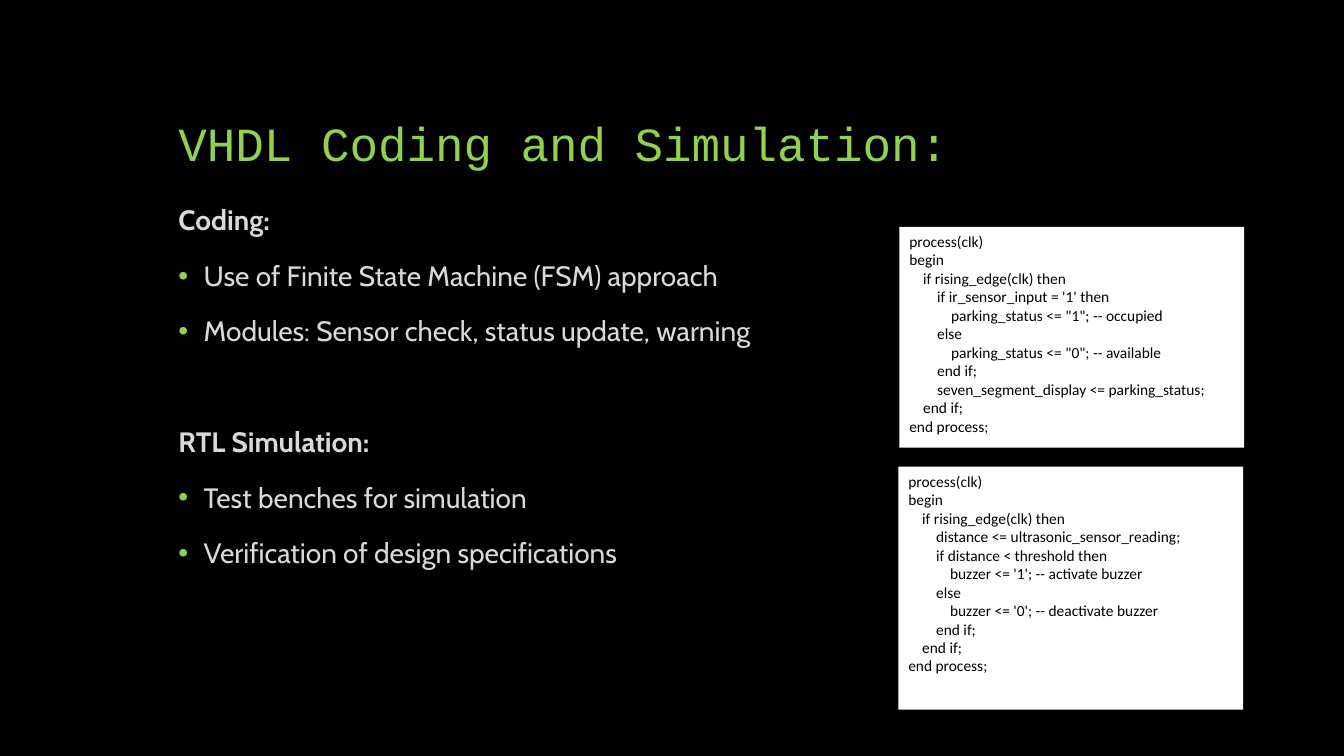
from lxml import etree
from pptx import Presentation
from pptx.dml.color import RGBColor
from pptx.enum.shapes import MSO_SHAPE
from pptx.enum.text import MSO_ANCHOR, MSO_AUTO_SIZE, PP_ALIGN
from pptx.oxml.ns import qn
from pptx.util import Inches, Pt

RECT = MSO_SHAPE.RECTANGLE
TOP, BOTTOM = MSO_ANCHOR.TOP, MSO_ANCHOR.BOTTOM
LEFT = PP_ALIGN.LEFT
NO_FIT = MSO_AUTO_SIZE.NONE

GREEN, GREY, BLACK, WHITE = "92D050", "D9D9D9", "000000", "FFFFFF"

SECTIONS = [
    ("Coding:", [
        "Use of Finite State Machine (FSM) approach",
        "Modules: Sensor check, status update, warning",
    ]),
    ("RTL Simulation:", [
        "Test benches for simulation",
        "Verification of design specifications",
    ]),
]

PARKING_CODE = """process(clk)
begin
    if rising_edge(clk) then
        if ir_sensor_input = '1' then
            parking_status <= "1"; -- occupied
        else
            parking_status <= "0"; -- available
        end if;
        seven_segment_display <= parking_status;
    end if;
end process;"""

BUZZER_CODE = """process(clk)
begin
    if rising_edge(clk) then
        distance <= ultrasonic_sensor_reading;
        if distance < threshold then
            buzzer <= '1'; -- activate buzzer
        else
            buzzer <= '0'; -- deactivate buzzer
        end if;
    end if;
end process;"""


def rgb(value):
    """Return the colour for a hex string."""
    return RGBColor.from_string(value)


class Deck:
    """Hold the style and the current slide."""

    def __init__(self):
        """Open a wide deck with one black slide."""
        self.prs = Presentation()
        self.prs.slide_width, self.prs.slide_height = Inches(13.33), Inches(7.5)
        self.s = self.prs.slides.add_slide(self.prs.slide_layouts[1])
        fill = self.s.background.fill
        fill.solid()
        fill.fore_color.rgb = rgb(BLACK)

    def place(self, sp, box, anchor=TOP):
        """Move a shape and return its prepared text frame."""
        sp.left, sp.top, sp.width, sp.height = map(Inches, box)
        tf = sp.text_frame
        tf.word_wrap = True
        tf.auto_size = NO_FIT
        tf.vertical_anchor = anchor
        return tf

    def paragraph(self, tf, i):
        """Return the first paragraph or a new one, set left."""
        p = tf.add_paragraph() if i else tf.paragraphs[0]
        p.alignment = LEFT
        return p

    def run(self, p, text, font, size, color, bold=False):
        """Add one formatted run."""
        r = p.add_run()
        r.text = text
        r.font.name, r.font.size, r.font.bold = font, Pt(size), bold
        r.font.color.rgb = rgb(color)

    def bullet(self, p, shown):
        """Set a green bullet with a hanging indent, or none."""
        pPr = p._p.get_or_add_pPr()
        indent = Inches(0.25) if shown else 0
        pPr.set("marL", str(indent))
        pPr.set("indent", str(-indent))
        if shown:
            clr = etree.SubElement(pPr, qn("a:buClr"))
            etree.SubElement(clr, qn("a:srgbClr")).set("val", GREEN)
            etree.SubElement(pPr, qn("a:buChar")).set("char", "•")
        else:
            etree.SubElement(pPr, qn("a:buNone"))

    def title(self, text, box):
        """Fill the title placeholder."""
        tf = self.place(self.s.shapes.title, box, BOTTOM)
        p = self.paragraph(tf, 0)
        p.line_spacing = 0.9
        self.run(p, text, "Courier New", 34, GREEN)

    def body(self, sections, box):
        """Fill the body placeholder with headed lists."""
        tf = self.place(self.s.placeholders[1], box)
        lines = [(text, n > 0) for head, items in sections
                 for n, text in enumerate([head, *items])]
        for i, (text, listed) in enumerate(lines):
            p = self.paragraph(tf, i)
            self.bullet(p, listed)
            p.line_spacing = 0.9
            p.space_before = Pt(0 if i == 0 else 18 if listed else 57.6)
            self.run(p, text, "Cabin", 20, GREY, not listed)

    def code(self, text, box):
        """Draw a white panel of code."""
        sp = self.s.shapes.add_shape(RECT, *map(Inches, box))
        sp.shadow.inherit = False
        sp.fill.solid()
        sp.fill.fore_color.rgb = rgb(WHITE)
        sp.line.fill.background()
        tf = self.place(sp, box)
        for i, line in enumerate(text.splitlines()):
            self.run(self.paragraph(tf, i), line, "Calibri", 11, BLACK)


def main():
    """Build and save the slide."""
    deck = Deck()
    deck.title("VHDL Coding and Simulation:", (1.67, 0.5, 10, 1.25))
    deck.body(SECTIONS, (1.67, 2, 10, 4.67))
    deck.code(PARKING_CODE, (8.92, 2.25, 3.42, 2.19))
    deck.code(BUZZER_CODE, (8.91, 4.63, 3.42, 2.41))
    deck.prs.save("out.pptx")


if __name__ == "__main__":
    main()
